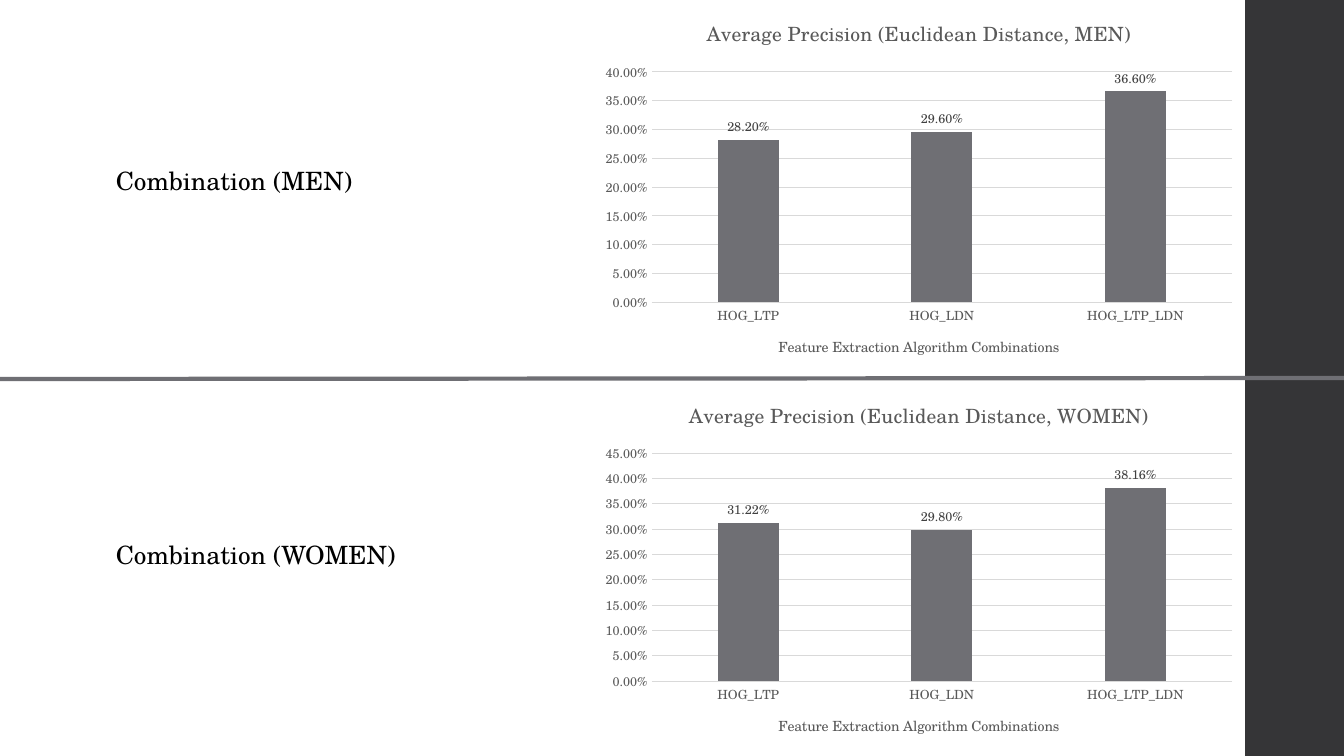
from lxml import etree
from pptx import Presentation
from pptx.chart.data import CategoryChartData
from pptx.dml.color import RGBColor
from pptx.enum.chart import XL_CHART_TYPE, XL_LABEL_POSITION, XL_TICK_MARK
from pptx.enum.shapes import MSO_CONNECTOR, MSO_SHAPE
from pptx.enum.text import MSO_AUTO_SIZE
from pptx.oxml import parse_xml
from pptx.oxml.ns import nsdecls, qn
from pptx.util import Inches, Pt

COLUMNS = XL_CHART_TYPE.COLUMN_CLUSTERED
OUTSIDE_END = XL_LABEL_POSITION.OUTSIDE_END
NO_TICK = XL_TICK_MARK.NONE

FONT = "TeX Gyre Schola"
BLACK = RGBColor(0x00, 0x00, 0x00)
BAND = RGBColor(0x35, 0x35, 0x37)
GRAY = RGBColor(0x6F, 0x6F, 0x74)
AXIS_TEXT = RGBColor(0x59, 0x59, 0x59)
LABEL_TEXT = RGBColor(0x40, 0x40, 0x40)
GRID = RGBColor(0xD9, 0xD9, 0xD9)

PERCENT = "0.00%"
COMBINATIONS = ["HOG_LTP", "HOG_LDN", "HOG_LTP_LDN"]
PLOT_AREA = {"x": 0.09, "y": 0.19, "w": 0.89, "h": 0.61}

# group, heading top, heading width, chart top, chart height, precisions
GROUPS = [
    ("MEN", 1.59, 2.63, 0, 3.75, (0.282, 0.296, 0.366)),
    ("WOMEN", 5.3, 3.01, 3.79, 3.71, (0.3122, 0.298, 0.3816)),
]


def style_font(font, size, color):
    for name, value in {"name": FONT, "size": Pt(size), "bold": False}.items():
        setattr(font, name, value)
    font.color.rgb = color


def set_title(owner, text, size):
    """Give a chart or an axis its title."""
    tf = (owner.chart_title if hasattr(owner, "chart_title") else owner.axis_title).text_frame
    r = tf.paragraphs[0].add_run()
    r.text = text
    style_font(r.font, size, AXIS_TEXT)


prs = Presentation()
prs.slide_width, prs.slide_height = Inches(13.33), Inches(7.5)
s = prs.slides.add_slide(prs.slide_layouts[6])

band = s.shapes.add_shape(MSO_SHAPE.RECTANGLE, Inches(12.35), 0, Inches(0.98), Inches(7.5))
band.shadow.inherit = False
band.fill.solid()
band.fill.fore_color.rgb = BAND
band.line.fill.background()

divider = s.shapes.add_connector(
    MSO_CONNECTOR.STRAIGHT, 0, Inches(3.76), Inches(13.33), Inches(3.75))
divider.line.color.rgb = GRAY
divider.line.width = Pt(3)
etree.SubElement(divider._element.spPr, qn("a:effectLst"))

for group, text_top, text_width, chart_top, chart_height, precisions in GROUPS:
    heading = s.shapes.add_textbox(
        Inches(1.05), Inches(text_top), Inches(text_width), Inches(0.4))
    tf = heading.text_frame
    tf.word_wrap = True
    tf.auto_size = MSO_AUTO_SIZE.SHAPE_TO_FIT_TEXT
    r = tf.paragraphs[0].add_run()
    r.text = f"Combination ({group})"
    style_font(r.font, 18, BLACK)

    data = CategoryChartData(number_format=PERCENT)
    data.categories = COMBINATIONS
    data.add_series("Series 1", precisions)
    chart = s.shapes.add_chart(
        COLUMNS, Inches(5.88), Inches(chart_top), Inches(6.47), Inches(chart_height), data).chart
    style_font(chart.font, 10, BLACK)
    chart.has_legend = False
    set_title(chart, f"Average Precision (Euclidean Distance, {group})", 14)
    chart.chart_title.include_in_layout = False

    plot = chart.plots[0]
    plot.gap_width, plot.overlap = 219, -27
    plot.vary_by_categories = False
    bars = plot.series[0]
    bars.format.fill.solid()
    bars.format.fill.fore_color.rgb = GRAY
    labels = bars.data_labels
    label_format = {"show_value": True, "position": OUTSIDE_END,
                    "number_format": PERCENT, "number_format_is_linked": False}
    for name, value in label_format.items():
        setattr(labels, name, value)
    style_font(labels.font, 9, LABEL_TEXT)

    for axis in (chart.category_axis, chart.value_axis):
        axis.major_tick_mark = axis.minor_tick_mark = NO_TICK
        style_font(axis.tick_labels.font, 9, AXIS_TEXT)
    set_title(chart.category_axis, "Feature Extraction Algorithm Combinations", 10)

    values = chart.value_axis
    values.minimum_scale, values.major_unit = 0, 0.05
    values.tick_labels.number_format = PERCENT
    values.tick_labels.number_format_is_linked = False
    values.format.line.fill.background()
    for line in (chart.category_axis.format.line, values.major_gridlines.format.line):
        line.color.rgb = GRID
        line.width = Pt(0.75)

    # Fix the inner plot area, as fractions of the chart
    plot_area = chart._chartSpace.chart.plotArea
    for old in plot_area.findall(qn("c:layout")):
        plot_area.remove(old)
    modes = '<c:layoutTarget val="inner"/><c:xMode val="edge"/><c:yMode val="edge"/>'
    sizes = "".join(f'<c:{k} val="{v}"/>' for k, v in PLOT_AREA.items())
    plot_area.insert(0, parse_xml(
        f'<c:layout {nsdecls("c")}><c:manualLayout>{modes}{sizes}</c:manualLayout></c:layout>'))

prs.save("out.pptx")
